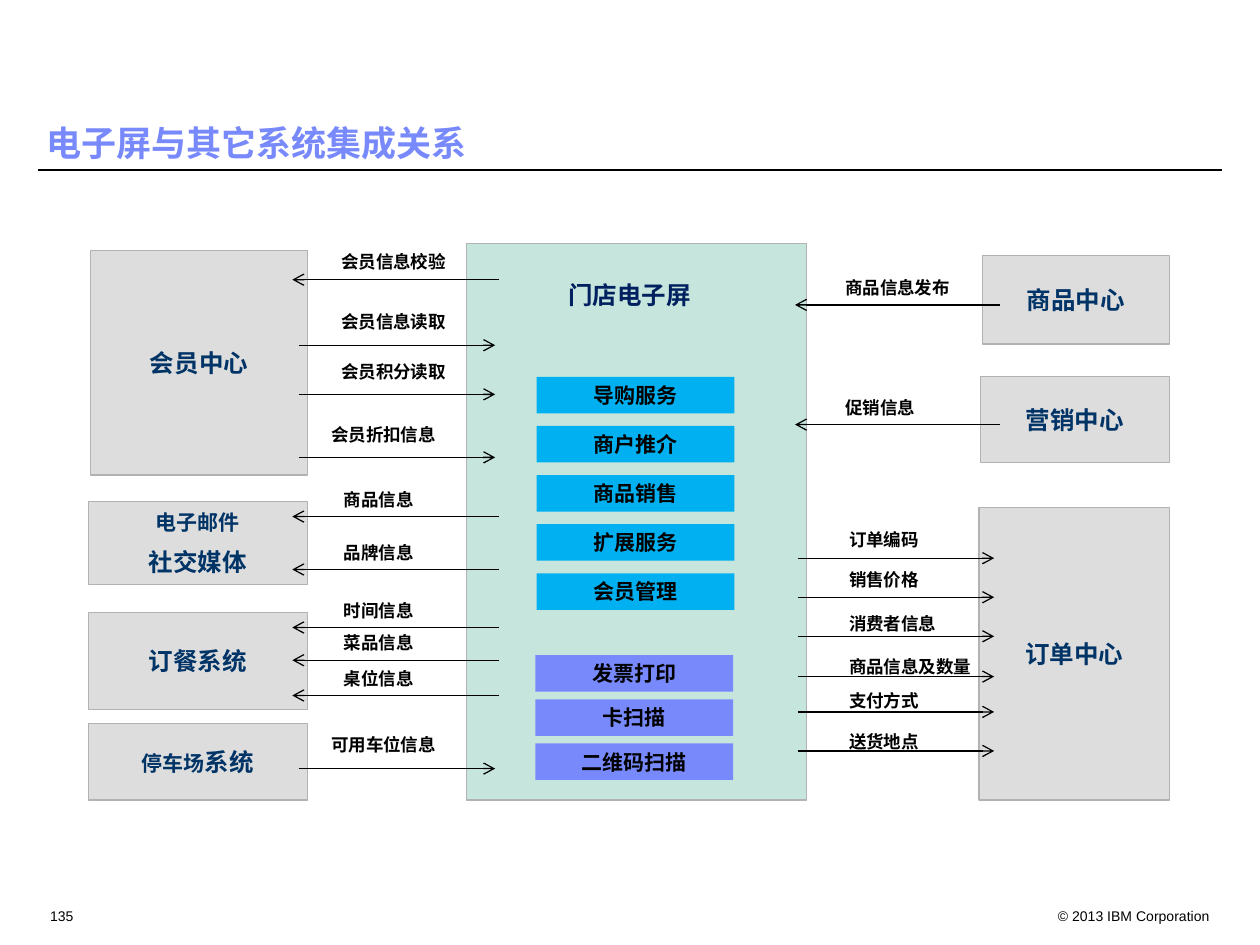
from pptx import Presentation
from pptx.dml.color import RGBColor
from pptx.enum.shapes import MSO_CONNECTOR as Connector, MSO_SHAPE as Preset
from pptx.enum.text import MSO_ANCHOR as Anchor, PP_ALIGN as Align
from pptx.oxml.ns import qn
from pptx.util import Inches, Pt
from lxml.etree import SubElement

BLACK = RGBColor(0x00, 0x00, 0x00)
PERIWINKLE = RGBColor(0x78, 0x89, 0xFB)
MINT = RGBColor(0xC6, 0xE5, 0xDC)
SKY = RGBColor(0x00, 0xB0, 0xF0)
LIGHT_GREY = RGBColor(0xDD, 0xDD, 0xDD)
MID_GREY = RGBColor(0xB2, 0xB2, 0xB2)
NAVY = RGBColor(0x00, 0x33, 0x66)
DARK_NAVY = RGBColor(0x00, 0x20, 0x60)

HAN = "Noto Sans CJK SC"
TITLE = {"name": HAN, "size": Pt(20), "bold": True}
SYSTEM = {"name": HAN, "size": Pt(14), "bold": True}
SMALL_SYSTEM = {**SYSTEM, "size": Pt(12)}
FLOW = {**SYSTEM, "size": Pt(10)}
FOOTER = {"name": "Arial", "size": Pt(8), "bold": False}


def place(box):
    """Turn a box in inches into lengths."""
    return [Inches(value) for value in box]


def add_run(paragraph, text, style, colour):
    """Append a run with the given font values."""
    run = paragraph.add_run()
    run.text = text
    for key, value in style.items():
        setattr(run.font, key, value)
    run.font.color.rgb = colour
    east_asian = SubElement(run.font._element, qn("a:ea"))
    east_asian.set("typeface", style["name"])


def add_label(slide, box, text, style, colour, align=Align.LEFT, anchor=Anchor.TOP):
    """Place one line of text in a wrapping box and return its paragraph."""
    frame = slide.shapes.add_textbox(*place(box)).text_frame
    for key, value in {"word_wrap": True, "vertical_anchor": anchor}.items():
        setattr(frame, key, value)
    paragraph = frame.paragraphs[0]
    paragraph.alignment = align
    add_run(paragraph, text, style, colour)
    return paragraph


def add_block(slide, box, fill, lines=(), colour=BLACK, border=None):
    """Draw a rectangle with centred lines, each a list of (text, style) runs."""
    block = slide.shapes.add_shape(Preset.RECTANGLE, *place(box))
    block.shadow.inherit = False
    block.fill.solid()
    block.fill.fore_color.rgb = fill
    if border is None:
        block.line.fill.background()
    else:
        block.line.color.rgb = border
        block.line.width = Pt(0.75)
    frame = block.text_frame
    layout = {"word_wrap": True, "vertical_anchor": Anchor.MIDDLE,
              "margin_left": Inches(0.06), "margin_right": Inches(0.06),
              "margin_top": Inches(0.03), "margin_bottom": Inches(0.03)}
    for key, value in layout.items():
        setattr(frame, key, value)
    for index, runs in enumerate(lines):
        paragraph = frame.add_paragraph() if index else frame.paragraphs[0]
        paragraph.alignment = Align.CENTER
        if index:
            paragraph.space_before = Pt(7)
        for text, style in runs:
            add_run(paragraph, text, style, colour)


def add_rule(slide, start, end, y, arrow=False):
    """Draw a thin horizontal line, with an open arrowhead if asked."""
    rule = slide.shapes.add_connector(Connector.STRAIGHT, *place((start, y, end, y)))
    rule.line.color.rgb = BLACK
    rule.line.width = Pt(0.75)
    if arrow:
        SubElement(rule.line._get_or_add_ln(), qn("a:tailEnd")).set("type", "arrow")
    SubElement(rule._element.spPr, qn("a:effectLst"))


def add_heading(slide, box):
    """Place the slide title with the rule at the foot of its box."""
    left, top, width, height = box
    title = add_label(slide, box, "电子屏与其它系统集成关系", TITLE, PERIWINKLE,
                      anchor=Anchor.BOTTOM)
    title.line_spacing = 0.9
    add_rule(slide, left + 0.03, left + 9.43, top + height)


def add_footer(slide, box):
    """Place the page number and copyright line at the ends of the box."""
    left, top, width, height = box
    add_label(slide, (left, top, 0.4, height), "135", FOOTER, BLACK)
    add_label(slide, (left + width - 1.5, top, 1.5, height),
              "© 2013 IBM Corporation", FOOTER, BLACK, Align.RIGHT)


def add_screen(slide, box):
    """Draw the store screen panel with its services and devices."""
    left, top, width, height = box
    add_block(slide, box, MINT, border=MID_GREY)
    add_label(slide, (left + 0.71, top + 0.24, 1.31, 0.34), "门店电子屏", SYSTEM, DARK_NAVY)
    stacks = [
        (0.56, 1.06, 0.39, SKY, ["导购服务", "商户推介", "商品销售", "扩展服务", "会员管理"]),
        (0.55, 3.27, 0.35, PERIWINKLE, ["发票打印", "卡扫描", "二维码扫描"]),
    ]
    for dx, dy, pitch, fill, names in stacks:
        for index, name in enumerate(names):
            add_block(slide, (left + dx, top + dy + index * pitch, 1.57, 0.29),
                      fill, [[(name, SMALL_SYSTEM)]])


def add_systems(slide, box, systems):
    """Draw one column of systems, each offset within the box."""
    left, top, width, height = box
    for dx, dy, block_width, block_height, lines in systems:
        add_block(slide, (left + dx, top + dy, block_width, block_height),
                  LIGHT_GREY, lines, NAVY, MID_GREY)


def add_flows(slide, box, leftward, rightward, flows):
    """Draw labelled arrows, given the two spans and rows offset from the box."""
    left, top, width, height = box
    for text, dx, label_dy, arrow_dy, span in flows:
        start, end = leftward if span == "left" else rightward
        add_rule(slide, left + start, left + end, top + arrow_dy, arrow=True)
        add_label(slide, (left + dx, top + label_dy, 1.25, 0.27), text, FLOW, BLACK)


LEFT_SYSTEMS = [
    (0.02, 0.06, 1.72, 1.78, [[("会员中心", SYSTEM)]]),
    (0, 2.05, 1.74, 0.66, [[("电子邮件", SMALL_SYSTEM)], [("社交媒体", SYSTEM)]]),
    (0, 2.93, 1.74, 0.77, [[("订餐系统", SYSTEM)]]),
    (0, 3.81, 1.74, 0.61, [[("停车场", SMALL_SYSTEM), ("系统", SYSTEM)]]),
]
RIGHT_SYSTEMS = [
    (0.03, 0.1, 1.48, 0.7, [[("商品中心", SYSTEM)]]),
    (0.01, 1.06, 1.5, 0.68, [[("营销中心", SYSTEM)]]),
    (0, 2.1, 1.51, 2.32, [[("订单中心", SYSTEM)]]),
]
LEFT_FLOWS = [
    ("会员信息校验", 0.17, 0.01, 0.29, "left"),
    ("会员信息读取", 0.17, 0.49, 0.81, "right"),
    ("会员积分读取", 0.17, 0.89, 1.2, "right"),
    ("会员折扣信息", 0.09, 1.39, 1.7, "right"),
    ("商品信息", 0.19, 1.9, 2.17, "left"),
    ("品牌信息", 0.19, 2.32, 2.59, "left"),
    ("时间信息", 0.19, 2.78, 3.05, "left"),
    ("菜品信息", 0.19, 3.04, 3.31, "left"),
    ("桌位信息", 0.19, 3.32, 3.59, "left"),
    ("可用车位信息", 0.09, 3.85, 4.17, "right"),
]
RIGHT_FLOWS = [
    ("商品信息发布", 0.21, 0.22, 0.49, "left"),
    ("促销信息", 0.21, 1.17, 1.44, "left"),
    ("订单编码", 0.24, 2.22, 2.5, "right"),
    ("销售价格", 0.24, 2.54, 2.81, "right"),
    ("消费者信息", 0.24, 2.89, 3.12, "right"),
    ("商品信息及数量", 0.24, 3.23, 3.44, "right"),
    ("支付方式", 0.24, 3.5, 3.72, "right"),
    ("送货地点", 0.24, 3.82, 4.03, "right"),
]


def main():
    """Build the integration slide and save it."""
    deck = Presentation()
    deck.slide_width, deck.slide_height = Inches(10), Inches(7.5)
    slide = deck.slides.add_slide(deck.slide_layouts[6])
    add_heading(slide, (0.27, 0.65, 9.66, 0.7))
    add_screen(slide, (3.7, 1.93, 2.7, 4.42))
    add_systems(slide, (0.7, 1.93, 1.74, 4.42), LEFT_SYSTEMS)
    add_systems(slide, (7.77, 1.93, 1.51, 4.42), RIGHT_SYSTEMS)
    add_flows(slide, (2.44, 1.93, 1.26, 4.42), (1.52, -0.12), (-0.07, 1.49), LEFT_FLOWS)
    add_flows(slide, (6.4, 1.93, 1.37, 4.42), (1.54, -0.09), (-0.07, 1.49), RIGHT_FLOWS)
    add_footer(slide, (0.3, 7.15, 9.4, 0.2))
    deck.save("out.pptx")


if __name__ == "__main__":
    main()
